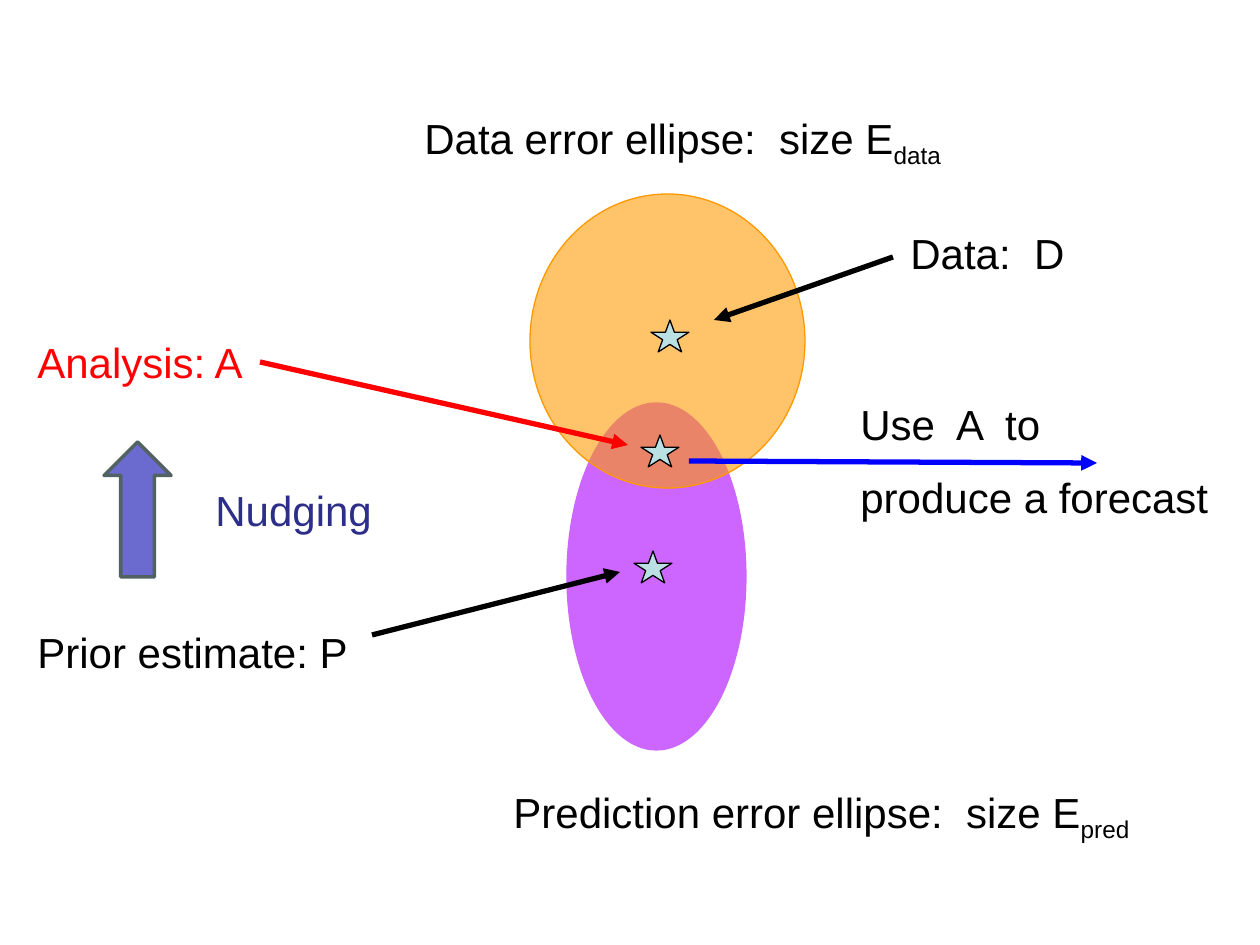
from lxml import etree
from pptx import Presentation
from pptx import util as u
from pptx.dml.color import RGBColor
from pptx.enum import shapes, text
from pptx.oxml.ns import qn

EMU_PER_PX = 914400 / 126
SHAPE = shapes.MSO_SHAPE


def px(n):
    return u.Emu(round(n * EMU_PER_PX))


def rgb(color):
    return RGBColor.from_string(color)


def add_figure(s, kind, box, fill, line, width=0.75, alpha=None):
    sp = s.shapes.add_shape(kind, *map(px, box))
    sp.shadow.inherit = False
    sp.fill.solid()
    sp.fill.fore_color.rgb = rgb(fill)
    sp.line.color.rgb = rgb(line)
    sp.line.width = u.Pt(width)
    if alpha is not None:
        clr = sp._element.spPr.find(qn("a:solidFill")).find(qn("a:srgbClr"))
        etree.SubElement(clr, qn("a:alpha")).set("val", str(alpha * 1000))


def add_arrow(s, start, end, color):
    c = s.shapes.add_connector(
        shapes.MSO_CONNECTOR.STRAIGHT, *map(px, start + end))
    c.line.color.rgb = rgb(color)
    c.line.width = u.Pt(3)
    spPr = c._element.spPr
    etree.SubElement(spPr.find(qn("a:ln")), qn("a:tailEnd")).set("type", "triangle")
    etree.SubElement(spPr, qn("a:effectLst"))


def add_label(s, box, lines, color="000000", subscript=None):
    tf = s.shapes.add_textbox(*map(px, box)).text_frame
    tf.word_wrap = True
    tf.auto_size = text.MSO_AUTO_SIZE.SHAPE_TO_FIT_TEXT
    for i, line in enumerate(lines):
        p = tf.add_paragraph() if i else tf.paragraphs[0]
        p.font.name = "Arial"
        p.font.size = u.Pt(24)
        p.font.color.rgb = rgb(color)
        if i:
            p.space_before = u.Pt(13)
        p.add_run().text = line
    if subscript:
        r = p.add_run()
        r.text = subscript
        r._r.get_or_add_rPr().set("baseline", "-25000")


def main():
    prs = Presentation()
    prs.slide_width, prs.slide_height = u.Inches(10), u.Inches(7.5)
    s = prs.slides.add_slide(prs.slide_layouts[6])

    add_figure(s, SHAPE.OVAL, (567, 403, 179, 347), "CC66FF", "CC66FF")
    add_figure(s, SHAPE.OVAL, (530, 194, 275, 294), "FF9900", "FF9900", alpha=59)

    for start, end, color in [
        ((260, 362), (628, 445), "FF0000"),
        ((689, 461), (1097, 463), "0000FF"),
        ((372, 635), (620, 572), "000000"),
        ((893, 257), (714, 320), "000000"),
    ]:
        add_arrow(s, start, end, color)

    for left, top in [(651, 320), (641, 435), (634, 551)]:
        add_figure(s, SHAPE.STAR_5_POINT, (left, top, 38, 32), "BBE0E3", "000000")

    add_label(s, (25, 330, 440, 63), ["Analysis: A"], "FF0000")
    add_label(s, (848, 392, 392, 140), ["Use  A  to", "produce a forecast"])
    add_label(s, (898, 221, 391, 63), ["Data:  D"])
    add_label(s, (25, 620, 368, 63), ["Prior estimate: P"])
    add_label(s, (501, 780, 714, 63), ["Prediction error ellipse:  size E"],
              subscript="pred")
    add_label(s, (412, 106, 714, 63), ["Data error ellipse:  size E"],
              subscript="data")
    add_label(s, (203, 478, 318, 63), ["Nudging"], "2D2D8A")
    add_figure(s, SHAPE.UP_ARROW, (104, 442, 67, 135), "6B6BCF", "526263", width=2)

    prs.save("out.pptx")


if __name__ == "__main__":
    main()
